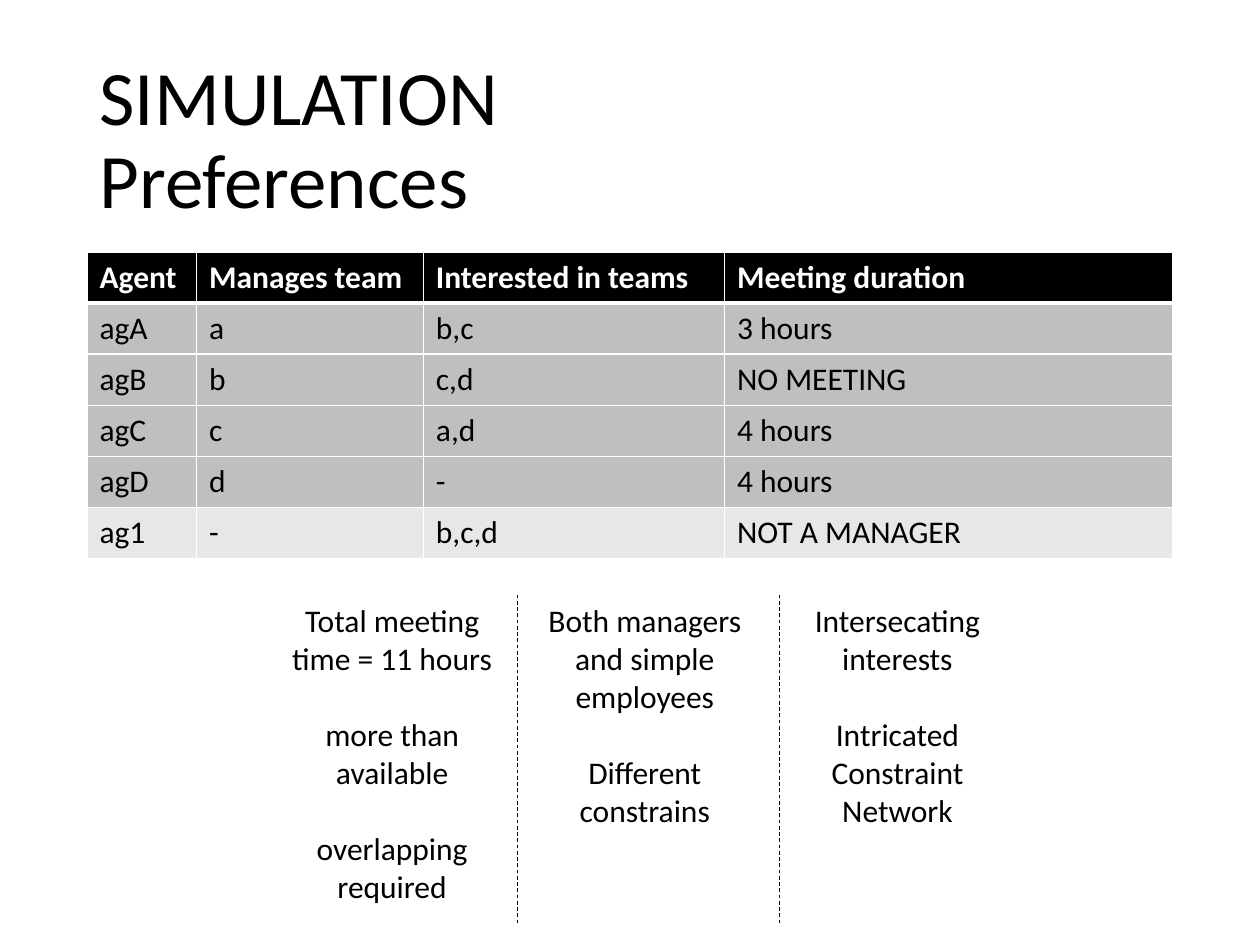
from lxml.etree import SubElement
from pptx import Presentation
from pptx.dml.color import RGBColor
from pptx.enum.dml import MSO_LINE_DASH_STYLE as DASH
from pptx.enum.shapes import MSO_CONNECTOR
from pptx.enum.text import MSO_ANCHOR, MSO_AUTO_SIZE, PP_ALIGN
from pptx.oxml.ns import qn
from pptx.util import Inches, Pt

# Content
TITLE = "SIMULATION\vPreferences"
AGENTS = [
    ("Agent", "Manages team", "Interested in teams", "Meeting duration"),
    ("agA", "a", "b,c", "3 hours"),
    ("agB", "b", "c,d", "NO MEETING"),
    ("agC", "c", "a,d", "4 hours"),
    ("agD", "d", "-", "4 hours"),
    ("ag1", "-", "b,c,d", "NOT A MANAGER"),
]
REMARKS = [
    ("Total meeting time = 11 hours", "more than available", "overlapping required"),
    ("Both managers and simple employees", "Different constrains"),
    ("Intersecating interests", "Intricated Constraint Network"),
]
COLORS = {"text": "000000", "header": "000000", "header_text": "FFFFFF",
          "manager": "BFBFBF", "employee": "E7E7E7", "border": "FFFFFF"}

# Layout in inches
MARGIN, WIDTH = 0.69, 8.62
COL_WIDTHS = (0.87, 1.8, 2.39, 3.56)
TABLE_TOP, ROW_HEIGHT = 2, 0.405
REMARK_LEFT, REMARK_TOP, REMARK_WIDTH = 2.11, 4.72, 2.005
REMARK_HEIGHTS = (2.52, 1.92, 1.92)
DIVIDERS, DIVIDER_BOTTOM = (4.11, 6.19), 7.34


def color(name):
    return RGBColor.from_string(COLORS[name])


def style(p, size, name="text", bold=False):
    p.font.name, p.font.size, p.font.bold = "Calibri", Pt(size), bold
    p.font.color.rgb = color(name)


def add_borders(cell, bottom):
    tc_pr = cell._tc.get_or_add_tcPr()
    widths = {"lnL": 1, "lnR": 1, "lnT": 1, "lnB": bottom}
    for i, (tag, width) in enumerate(widths.items()):
        ln = SubElement(tc_pr, qn("a:" + tag), w=str(Pt(width)))
        fill = SubElement(ln, qn("a:solidFill"))
        SubElement(fill, qn("a:srgbClr"), val=COLORS["border"])
        tc_pr.insert(i, ln)  # borders come before the cell fill


prs = Presentation()
prs.slide_width, prs.slide_height = Inches(10), Inches(7.5)
s = prs.slides.add_slide(prs.slide_layouts[5])

# Title
title = s.shapes.title
title.left, title.top = Inches(MARGIN), Inches(0.4)
title.width, title.height = Inches(WIDTH), Inches(1.45)
tf = title.text_frame
tf.text = TITLE
tf.vertical_anchor = MSO_ANCHOR.MIDDLE
tf.auto_size = MSO_AUTO_SIZE.NONE
p = tf.paragraphs[0]
p.alignment, p.line_spacing = PP_ALIGN.LEFT, 0.9
style(p, 44)

# Agent table
table = s.shapes.add_table(
    len(AGENTS), len(COL_WIDTHS), Inches(MARGIN), Inches(TABLE_TOP),
    Inches(WIDTH), Inches(ROW_HEIGHT * len(AGENTS))).table
for column, width in zip(table.columns, COL_WIDTHS):
    column.width = Inches(width)
for r, agent in enumerate(AGENTS):
    header = r == 0
    fill = "header" if header else "employee" if agent[1] == "-" else "manager"
    for c, text in enumerate(agent):
        cell = table.cell(r, c)
        cell.text = text
        cell.fill.solid()
        cell.fill.fore_color.rgb = color(fill)
        style(cell.text_frame.paragraphs[0], 18,
              "header_text" if header else "text", header)
        add_borders(cell, 3 if header else 1)

# Remarks in three columns
for i, (remark, height) in enumerate(zip(REMARKS, REMARK_HEIGHTS)):
    box = s.shapes.add_textbox(
        Inches(REMARK_LEFT + i * REMARK_WIDTH), Inches(REMARK_TOP),
        Inches(REMARK_WIDTH), Inches(height))
    tf = box.text_frame
    tf.word_wrap, tf.auto_size = True, MSO_AUTO_SIZE.SHAPE_TO_FIT_TEXT
    tf.text = "\n".join(remark)
    for n, p in enumerate(tf.paragraphs):
        p.alignment = PP_ALIGN.CENTER
        p.space_before = Pt(22 if n else 0)
        style(p, 18)

# Dashed dividers
for x in DIVIDERS:
    line = s.shapes.add_connector(MSO_CONNECTOR.STRAIGHT, Inches(x), Inches(REMARK_TOP),
                                  Inches(x), Inches(DIVIDER_BOTTOM))
    line.line.color.rgb = color("text")
    line.line.width, line.line.dash_style = Pt(0.5), DASH.DASH
    SubElement(line._element.spPr, qn("a:effectLst"))

prs.save("out.pptx")
